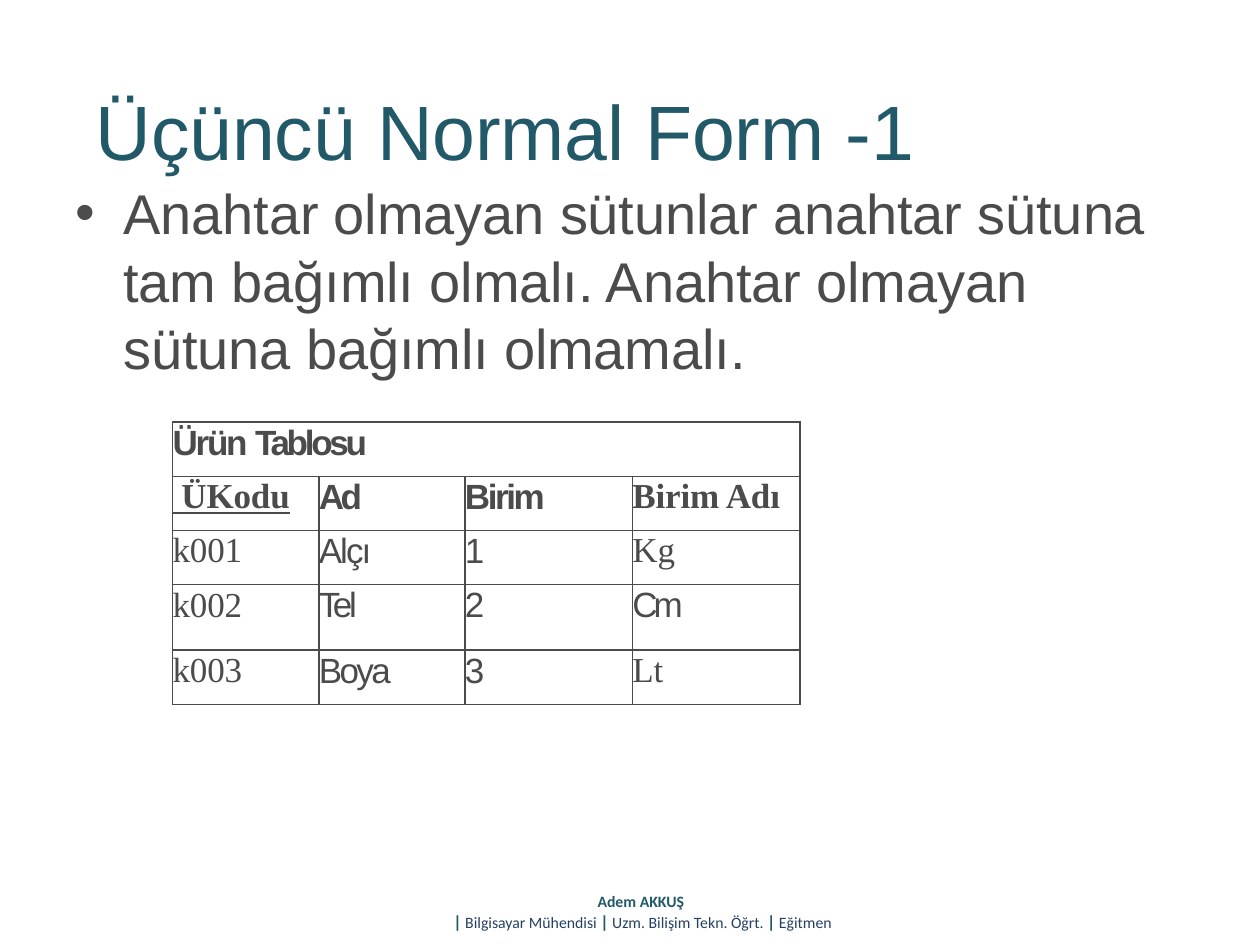
from lxml import etree
from pptx import Presentation
from pptx import util as u
from pptx.dml.color import RGBColor
from pptx.enum import text
from pptx.oxml.ns import qn

TEAL = RGBColor(0x21, 0x59, 0x68)
NAVY = RGBColor(0x25, 0x40, 0x61)
GRAY = RGBColor(0x4B, 0x4B, 0x4B)
SANS, SERIF = "Arial", "Times New Roman"

COLUMN_WIDTHS = [1.16, 1.16, 1.33, 1.33]
ROW_HEIGHTS = [0.43, 0.43, 0.43, 0.52, 0.43]
PRODUCTS = [
    [("Ad", SANS, -2), ("Birim", SANS, -1.4), ("Birim Adı", SERIF, -0.1)],
    [("k001", SERIF, -0.1), ("Alçı", SANS, -1.1), ("1", SANS, 0), ("Kg", SERIF, -0.1)],
    [("k002", SERIF, -0.1), ("Tel", SANS, -1.9), ("2", SANS, 0), ("Cm", SANS, -2.4)],
    [("k003", SERIF, -0.1), ("Boya", SANS, -1.5), ("3", SANS, 0), ("Lt", SERIF, -0.2)],
]


def style(font, size, name, color, bold=False):
    font.size, font.name, font.bold = u.Pt(size), name, bold
    font.color.rgb = color


def add_run(paragraph, words, spacing=0):
    run = paragraph.add_run()
    run.text = words
    if spacing:
        run._r.get_or_add_rPr().set("spc", str(round(spacing * 100)))
    return run


def set_frame(frame, top=0.01):
    frame.margin_left = frame.margin_right = frame.margin_bottom = 0
    frame.margin_top = u.Inches(top)
    frame.word_wrap = True
    frame.vertical_anchor = text.MSO_ANCHOR.TOP
    frame.auto_size = text.MSO_AUTO_SIZE.SHAPE_TO_FIT_TEXT


def set_indent(paragraph, left, first):
    properties = paragraph._p.get_or_add_pPr()
    properties.set("marL", str(u.Inches(left)))
    properties.set("indent", str(u.Inches(first)))
    return properties


def add_title(slide):
    title = slide.shapes.title
    title.left, title.top = u.Inches(0.75), u.Inches(0.65)
    title.width, title.height = u.Inches(6.55), u.Inches(0.76)
    set_frame(title.text_frame)
    heading = title.text_frame.paragraphs[0]
    heading.alignment = text.PP_ALIGN.LEFT
    set_indent(heading, 0.01, 0)
    add_run(heading, "Üçüncü Normal Form -1", -0.1)
    style(heading.font, 44, SANS, TEAL)


def add_rule(slide):
    frame = slide.shapes.add_textbox(
        u.Inches(0.59), u.Inches(1.41), u.Inches(8.54), u.Inches(1.63)).text_frame
    set_frame(frame)
    rule = frame.paragraphs[0]
    properties = set_indent(rule, 0.39, -0.38)
    etree.SubElement(properties, qn("a:buFont")).set("typeface", SANS)
    etree.SubElement(properties, qn("a:buChar")).set("char", "•")
    add_run(rule, "Anahtar olmayan sütunlar anahtar sütuna tam bağımlı olmalı. "
                  "Anahtar olmayan sütuna bağımlı olmamalı.", -0.1)
    style(rule.font, 32, SANS, GRAY)


def set_borders(cell):
    properties = cell._tc.get_or_add_tcPr()
    for side in ("lnL", "lnR", "lnT", "lnB"):
        line = etree.SubElement(properties, qn(f"a:{side}"))
        line.set("w", str(u.Pt(1)))
        fill = etree.SubElement(line, qn("a:solidFill"))
        etree.SubElement(fill, qn("a:srgbClr")).set("val", str(GRAY))


def fill_cell(cell, parts, font_name, bold):
    paragraph = cell.text_frame.paragraphs[0]
    runs = [add_run(paragraph, words, spacing) for words, spacing in parts]
    style(paragraph.font, 20, font_name, GRAY, bold)
    return runs


def add_product_table(slide):
    table = slide.shapes.add_table(
        len(ROW_HEIGHTS), len(COLUMN_WIDTHS), u.Inches(1.37), u.Inches(3.35),
        u.Inches(sum(COLUMN_WIDTHS)), u.Inches(sum(ROW_HEIGHTS))).table
    table.first_row = table.horz_banding = False
    for column, width in zip(table.columns, COLUMN_WIDTHS):
        column.width = u.Inches(width)
    for row, height in zip(table.rows, ROW_HEIGHTS):
        row.height = u.Inches(height)
    for cell in table.iter_cells():
        cell.margin_left = cell.margin_right = cell.margin_bottom = 0
        cell.margin_top = u.Inches(0.01)
        set_borders(cell)
        cell.fill.background()

    table.cell(0, 0).merge(table.cell(0, 3))
    fill_cell(table.cell(0, 0), [("Ürün ", -1.3), ("Tablosu", -1.9)], SANS, True)
    key_runs = fill_cell(table.cell(1, 0), [(" ", -5), ("ÜKodu", -0.1)], SERIF, True)
    for run in key_runs:
        run.font.underline = True
    for row, entries in enumerate(PRODUCTS, start=1):
        first_column = len(COLUMN_WIDTHS) - len(entries)
        for column, (words, font_name, spacing) in enumerate(entries, first_column):
            fill_cell(table.cell(row, column), [(words, spacing)], font_name, row == 1)


def add_footer(slide):
    frame = slide.shapes.add_textbox(
        u.Inches(3), u.Inches(7.08), u.Inches(4.2), u.Inches(0.32)).text_frame
    set_frame(frame, top=0)
    credit = frame.paragraphs[0]
    credit.alignment = text.PP_ALIGN.CENTER
    style(add_run(credit, "Adem AKKUŞ ").font, 9, "Calibri", TEAL, True)
    credit.add_line_break()
    for role in ("Bilgisayar Mühendisi ", "Uzm. Bilişim Tekn. Öğrt. ", "Eğitmen"):
        style(add_run(credit, "|").font, 10, "Calibri", TEAL, True)
        style(add_run(credit, f" {role}").font, 9, "Calibri", NAVY)


def main():
    deck = Presentation()
    deck.slide_width, deck.slide_height = u.Inches(10), u.Inches(7.5)
    slide = deck.slides.add_slide(deck.slide_layouts[5])
    add_title(slide)
    add_rule(slide)
    add_product_table(slide)
    add_footer(slide)
    deck.save("out.pptx")


if __name__ == "__main__":
    main()
